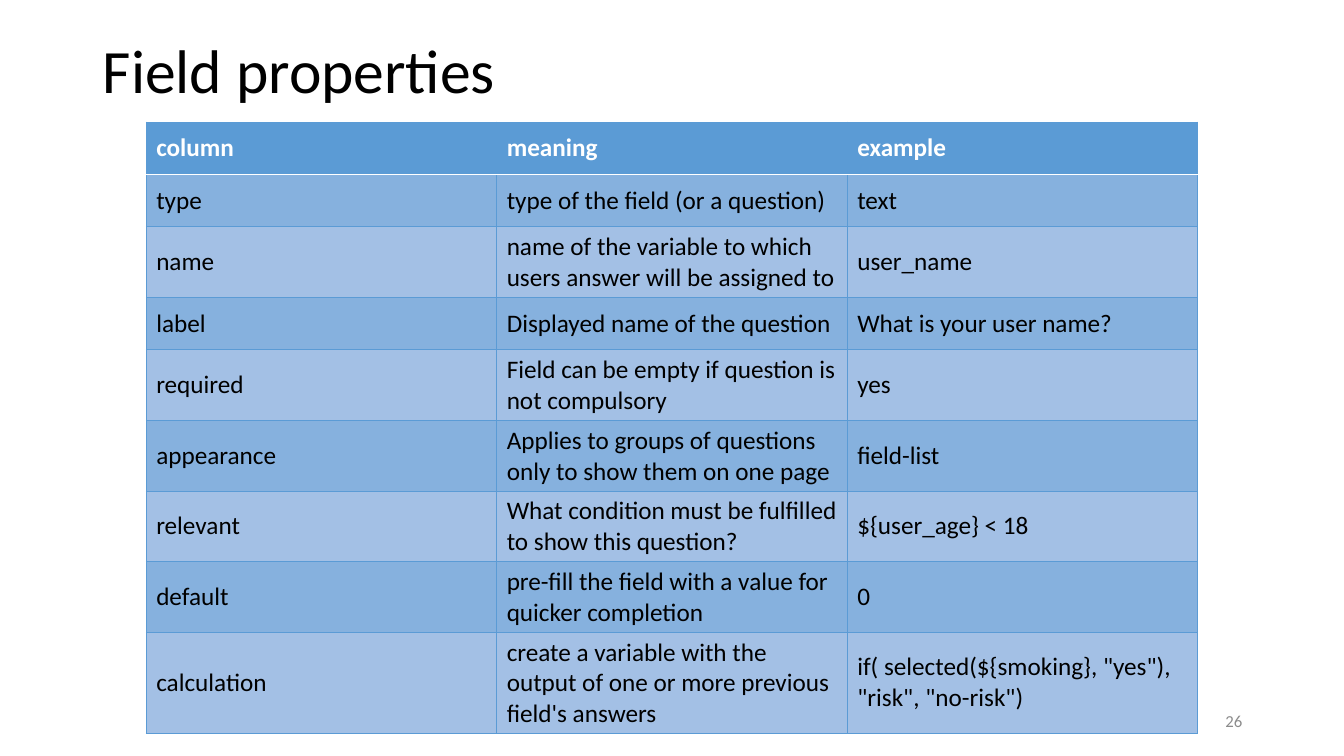
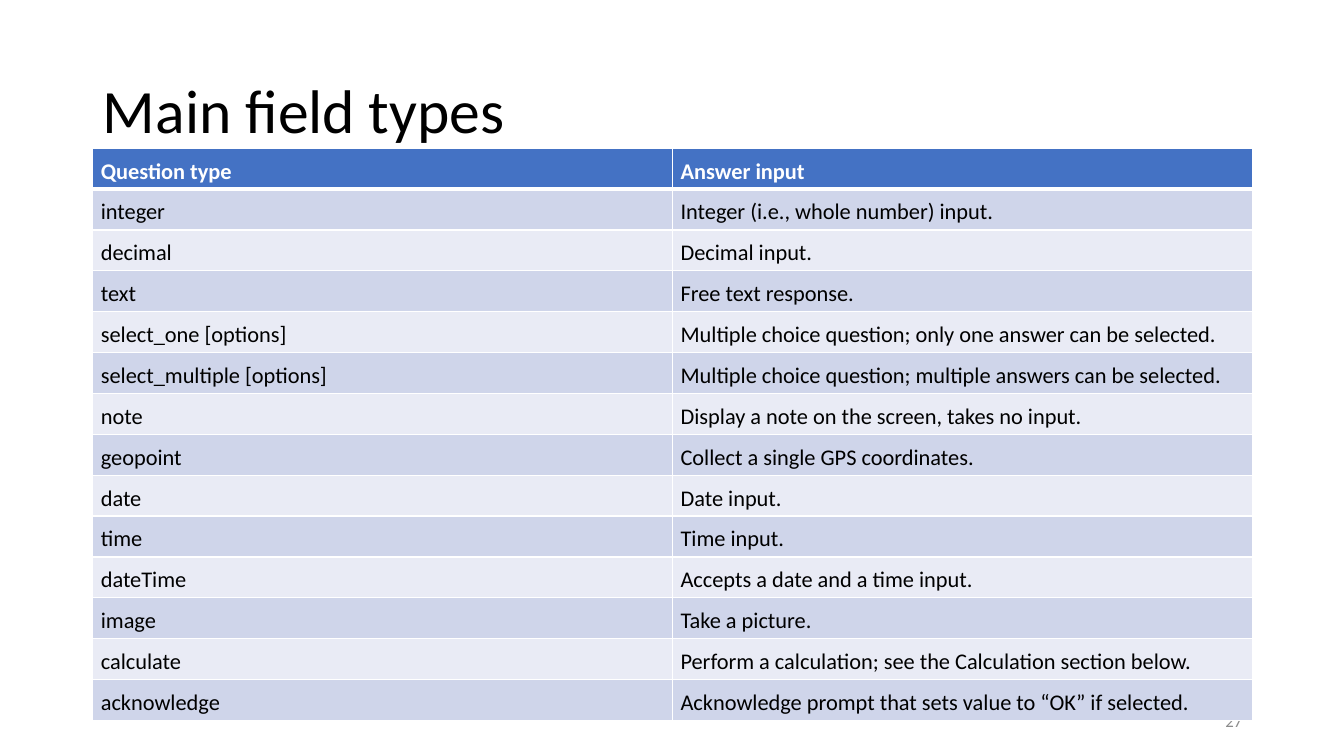
import pptx
import pptx.dml.color
import pptx.enum.text
import pptx.oxml
import pptx.oxml.ns
import pptx.util

Inches = pptx.util.Inches
Pt = pptx.util.Pt
Align = pptx.enum.text.PP_ALIGN
Anchor = pptx.enum.text.MSO_ANCHOR

COLORS = {
    "black": "000000",
    "white": "FFFFFF",
    "gray": "8C8C8C",
    "sky": "5B9BD5",
    "sky_dark_band": "86B1DE",
    "sky_light_band": "A3C0E5",
    "blue": "4472C4",
    "blue_dark_band": "CFD5EA",
    "blue_light_band": "E9EBF5",
}

PROPERTY_ROWS = [
    ("column", "meaning", "example"),
    ("type", "type of the field (or a question)", "text"),
    ("name", "name of the variable to which users answer will be assigned to", "user_name"),
    ("label", "Displayed name of the question", "What is your user name?"),
    ("required", "Field can be empty if question is not compulsory", "yes"),
    ("appearance", "Applies to groups of questions only to show them on one page", "field-list"),
    ("relevant", "What condition must be fulfilled to show this question?", "${user_age} < 18"),
    ("default", "pre-fill the field with a value for quicker completion", "0"),
    ("calculation", "create a variable with the output of one or more previous field's answers",
     'if( selected(${smoking}, "yes"), "risk", "no-risk")'),
]

TYPE_ROWS = [
    ("Question type", "Answer input"),
    ("integer", "Integer (i.e., whole number) input."),
    ("decimal", "Decimal input."),
    ("text", "Free text response."),
    ("select_one [options]", "Multiple choice question; only one answer can be selected."),
    ("select_multiple [options]", "Multiple choice question; multiple answers can be selected."),
    ("note", "Display a note on the screen, takes no input."),
    ("geopoint", "Collect a single GPS coordinates."),
    ("date", "Date input."),
    ("time", "Time input."),
    ("dateTime", "Accepts a date and a time input."),
    ("image", "Take a picture."),
    ("calculate", "Perform a calculation; see the Calculation section below."),
    ("acknowledge", "Acknowledge prompt that sets value to “OK” if selected."),
]

# Outer and inner borders as (colour, points); the rule lies under the header.
PROPERTY_STYLE = {
    "fills": ("sky", "sky_dark_band", "sky_light_band"),
    "border": ("sky", 0.5),
    "rule": ("white", 1),
    "size": 18,
    "anchor": Anchor.MIDDLE,
    "margins": (0.1, 0.05, 0.1, 0.05),
}
TYPE_STYLE = {
    "fills": ("blue", "blue_dark_band", "blue_light_band"),
    "border": ("white", 1),
    "rule": ("white", 3),
    "size": 16,
    "anchor": Anchor.BOTTOM,
    "margins": (0.08, 0.08, 0.08, 0.04),
}


def rgb(name):
    return pptx.dml.color.RGBColor.from_string(COLORS[name])


def write_text(frame, text, size=18, color="black", bold=False, align=Align.LEFT, spacing=1.0):
    frame.word_wrap = True
    paragraph = frame.paragraphs[0]
    paragraph.alignment = align
    paragraph.line_spacing = spacing
    run = paragraph.add_run()
    run.text = text
    run.font.name = "Calibri"
    run.font.size = Pt(size)
    run.font.bold = bold
    run.font.color.rgb = rgb(color)


def add_cell_border(cell, side, color, points):
    """Draw one side (L, R, T or B); call before the cell is filled."""
    namespace = pptx.oxml.ns.nsdecls("a")
    line = pptx.oxml.parse_xml(
        f'<a:ln{side} {namespace} w="{Pt(points)}"><a:solidFill>'
        f'<a:srgbClr val="{COLORS[color]}"/></a:solidFill></a:ln{side}>')
    cell._tc.get_or_add_tcPr().append(line)


class Deck:
    def __init__(self):
        self.presentation = pptx.Presentation()
        self.presentation.slide_width = Inches(13.33)
        self.presentation.slide_height = Inches(7.5)
        self.slide = None

    def add_slide(self, title, number, title_top):
        layout = self.presentation.slide_layouts.get_by_name("Title Only")
        self.slide = self.presentation.slides.add_slide(layout)
        self.add_title(title, title_top)
        self.add_number(number)

    def add_title(self, text, top):
        shape = self.slide.shapes.title
        shape.left, shape.top = Inches(0.92), Inches(top)
        shape.width, shape.height = Inches(11.5), Inches(1.45)
        frame = shape.text_frame
        frame.auto_size = pptx.enum.text.MSO_AUTO_SIZE.NONE
        frame.vertical_anchor = Anchor.MIDDLE
        write_text(frame, text, size=44, spacing=0.9)

    def add_number(self, number):
        shape = self.slide.shapes.add_textbox(Inches(9.42), Inches(6.95), Inches(3), Inches(0.4))
        shape.text_frame.vertical_anchor = Anchor.MIDDLE
        write_text(shape.text_frame, str(number), size=12, color="gray", align=Align.RIGHT)

    def add_table(self, rows, left, top, width, height, style):
        shape = self.slide.shapes.add_table(
            len(rows), len(rows[0]), Inches(left), Inches(top), Inches(width), Inches(height))
        table = shape.table
        table.horz_banding = False
        for row_index, row in enumerate(rows):
            for column_index, text in enumerate(row):
                self.format_cell(table.cell(row_index, column_index), text, row_index, style)

    def format_cell(self, cell, text, row_index, style):
        header = row_index == 0
        borders = dict.fromkeys("LRTB", style["border"])
        if row_index < 2:
            borders["B" if header else "T"] = style["rule"]
        for side, (color, points) in borders.items():
            add_cell_border(cell, side, color, points)

        header_fill, odd_fill, even_fill = style["fills"]
        band = odd_fill if row_index % 2 else even_fill
        cell.fill.solid()
        cell.fill.fore_color.rgb = rgb(header_fill if header else band)
        cell.vertical_anchor = style["anchor"]
        cell.margin_left, cell.margin_top, cell.margin_right, cell.margin_bottom = map(
            Inches, style["margins"])
        write_text(cell.text_frame, text, size=style["size"], bold=header,
                   color="white" if header else "black")


def main():
    deck = Deck()
    deck.add_slide("Field properties", 26, title_top=0)
    deck.add_table(PROPERTY_ROWS, 1.45, 1.21, 10.43, 4.68, PROPERTY_STYLE)
    deck.add_slide("Main field types", 27, title_top=0.4)
    deck.add_table(TYPE_ROWS, 0.92, 1.47, 11.5, 5.68, TYPE_STYLE)
    deck.presentation.save("out.pptx")


if __name__ == "__main__":
    main()
